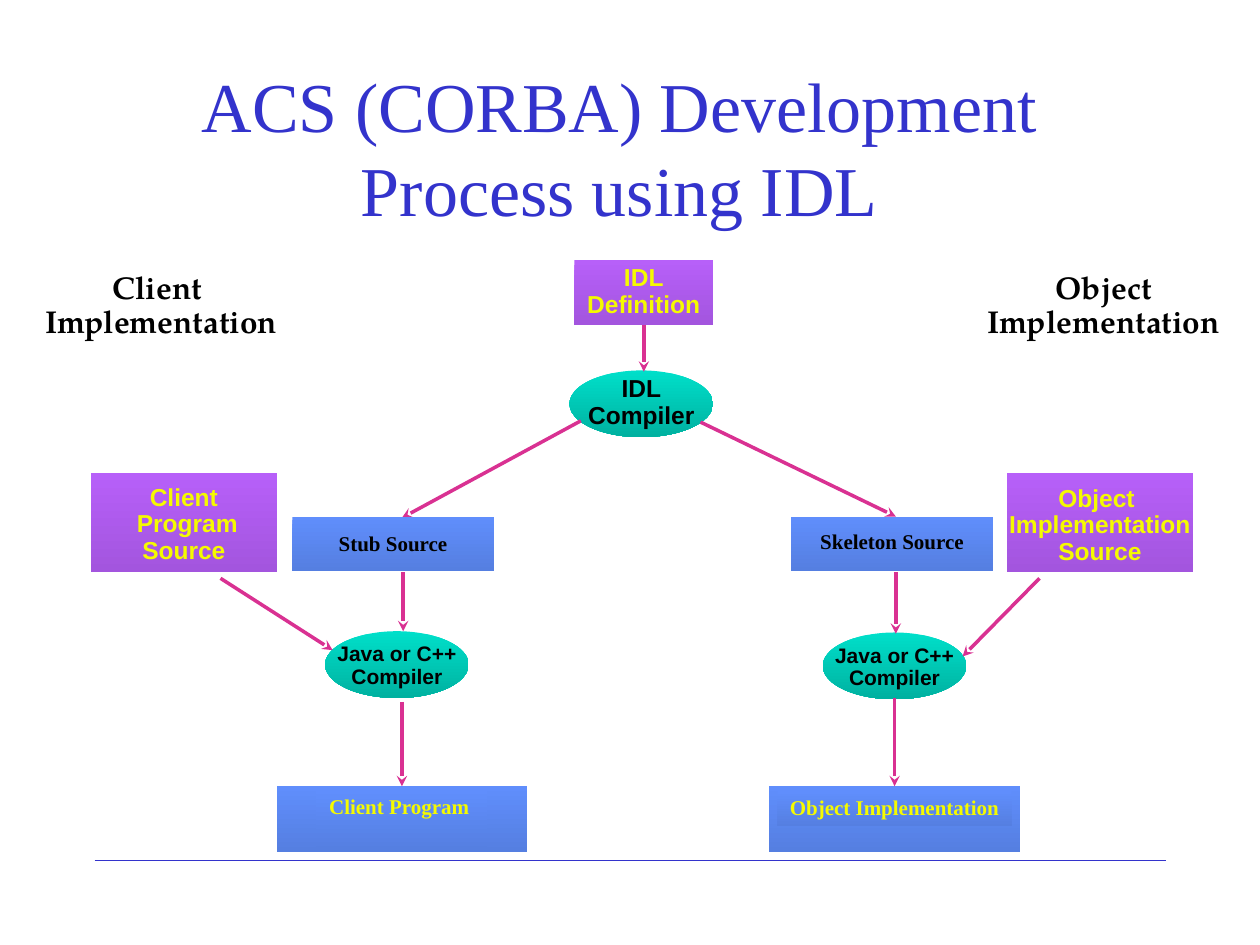
from dataclasses import dataclass

from pptx import Presentation
from pptx.dml.color import RGBColor
from pptx.enum.shapes import MSO_CONNECTOR, MSO_SHAPE
from pptx.enum.text import MSO_ANCHOR, PP_ALIGN
from pptx.oxml.ns import qn
from pptx.util import Inches, Pt
from lxml import etree

RECTANGLE, ELLIPSE = MSO_SHAPE.RECTANGLE, MSO_SHAPE.OVAL
STRAIGHT = MSO_CONNECTOR.STRAIGHT
TOP, MIDDLE = MSO_ANCHOR.TOP, MSO_ANCHOR.MIDDLE
CENTER = PP_ALIGN.CENTER
TOP_SIDE, BOTTOM_SIDE = 0, 2


@dataclass(frozen=True)
class Theme:
    blue: str = "3333CC"
    arrow: str = "D93192"
    black: str = "000000"
    yellow: str = "F5FA00"
    purple_fill: tuple = ("B760F9", "A355DE")
    teal_fill: tuple = ("00DFCA", "00B1A0")
    blue_fill: tuple = ("608EFC", "557FE1")
    serif: str = "Times New Roman"
    sans: str = "Arial"
    heading: str = "TeX Gyre Pagella"
    title_size: int = 40
    heading_size: int = 18
    large: int = 14
    small: int = 12


THEME = Theme()

# Type styles: font, size, colour
HEADING = (THEME.heading, THEME.heading_size, THEME.black)
SOURCE_TEXT = (THEME.sans, THEME.large, THEME.yellow)
IDL_COMPILER_TEXT = (THEME.sans, THEME.large, THEME.black)
COMPILER_TEXT = (THEME.sans, THEME.small, THEME.black)
GENERATED_TEXT = (THEME.serif, THEME.small, THEME.black)
PROGRAM_TEXT = (THEME.serif, THEME.small, THEME.yellow)

# Node kinds: outline, gradient, width, height
SOURCE = (RECTANGLE, THEME.purple_fill, 1.48, 0.79)
COMPILER = (ELLIPSE, THEME.teal_fill, 1.14, 0.53)
GENERATED = (RECTANGLE, THEME.blue_fill, 1.6, 0.43)
PROGRAM = (RECTANGLE, THEME.blue_fill, 1.99, 0.52)

# Column centres and row tops of the diagram
CLIENT_SOURCE, CLIENT, MIDDLE_COLUMN, OBJECT, OBJECT_SOURCE = 1.46, 3.15, 5.1, 7.1, 8.73
HEADING_ROW, IDL_ROW, IDL_COMPILER_ROW = 2.11, 2.06, 2.94
SOURCE_ROW, GENERATED_ROW, COMPILER_ROW, PROGRAM_ROW = 3.75, 4.1, 5.01, 6.24


def style_text(frame, style, bold=True, anchor=TOP):
    font_name, size, color = style
    frame.vertical_anchor = anchor
    for paragraph in frame.paragraphs:
        paragraph.alignment = CENTER
        paragraph.font.name = font_name
        paragraph.font.size = Pt(size)
        paragraph.font.bold = bold
        paragraph.font.color.rgb = RGBColor.from_string(color)


def add_block(slide, outline, gradient, center, top, width, height):
    block = slide.shapes.add_shape(outline, Inches(center - width / 2), Inches(top),
                                   Inches(width), Inches(height))
    block.shadow.inherit = False
    block.line.fill.background()
    block.fill.gradient()
    block.fill.gradient_angle = 270
    for stop, color in zip(block.fill.gradient_stops, gradient):
        stop.color.rgb = RGBColor.from_string(color)
    return block


def write_label(shape, text, style):
    frame = shape.text_frame
    frame.word_wrap = False
    frame.text = text
    style_text(frame, style)
    for paragraph in frame.paragraphs:
        paragraph.line_spacing = 0.9


def add_label(slide, text, style, center, top, width, height, gradient=None):
    if gradient:
        label = add_block(slide, RECTANGLE, gradient, center, top, width, height)
    else:
        label = slide.shapes.add_textbox(Inches(center - width / 2), Inches(top),
                                         Inches(width), Inches(height))
    write_label(label, text, style)
    return label


def add_node(slide, kind, center, top, text, style, label_size, drop, label_fill=None):
    """Draw a block with its label set drop inches below the block's top."""
    outline, gradient, width, height = kind
    block = add_block(slide, outline, gradient, center, top, width, height)
    add_label(slide, text, style, center, top + drop, *label_size, gradient=label_fill)
    return block


def add_rule(slide, start, end, color, width):
    rule = slide.shapes.add_connector(STRAIGHT, *map(Inches, start + end))
    rule.line.color.rgb = RGBColor.from_string(color)
    rule.line.width = Pt(width)
    etree.SubElement(rule._element.spPr, qn("a:effectLst"))
    return rule


def add_arrow(slide, start, end, source=None, target=None):
    """Draw an arrow, joined to a source's bottom or a target's top if given."""
    arrow = add_rule(slide, start, end, THEME.arrow, 2)
    line = arrow._element.spPr.find(qn("a:ln"))
    etree.SubElement(line, qn("a:tailEnd"), type="stealth")
    if source is not None:
        arrow.begin_connect(source, BOTTOM_SIDE)
    if target is not None:
        arrow.end_connect(target, TOP_SIDE)


def add_title(slide, text):
    title = slide.shapes.title
    title.left, title.top = Inches(0.75), Inches(0.58)
    title.width, title.height = Inches(8.33), Inches(1.17)
    title.text_frame.text = text
    style_text(title.text_frame, (THEME.serif, THEME.title_size, THEME.blue),
               bold=False, anchor=MIDDLE)


def add_idl_stage(slide):
    definition = add_label(slide, "IDL\nDefinition", SOURCE_TEXT, MIDDLE_COLUMN + 0.01,
                           IDL_ROW, 1.1, 0.52, THEME.purple_fill)
    add_node(slide, COMPILER, MIDDLE_COLUMN - 0.01, IDL_COMPILER_ROW, "IDL\nCompiler",
             IDL_COMPILER_TEXT, (1.05, 0.52), 0)
    add_arrow(slide, (5.11, 2.58), (5.11, 2.95), source=definition)
    add_arrow(slide, (4.61, 3.34), (3.19, 4.11))
    add_arrow(slide, (5.56, 3.35), (7.11, 4.1))


def add_client_side(slide):
    add_label(slide, "Client \nImplementation", HEADING, 1.28, HEADING_ROW, 2.26, 0.64)
    add_node(slide, GENERATED, CLIENT - 0.03, GENERATED_ROW, "Stub Source",
             GENERATED_TEXT, (1.07, 0.28), 0.08)
    add_node(slide, SOURCE, CLIENT_SOURCE, SOURCE_ROW, "Client\v Program\nSource",
             SOURCE_TEXT, (1.06, 0.73), 0.05)
    add_node(slide, COMPILER, CLIENT, COMPILER_ROW, "Java or C++\nCompiler",
             COMPILER_TEXT, (1.15, 0.46), 0.05)
    program = add_node(slide, PROGRAM, CLIENT + 0.04, PROGRAM_ROW, "Client Program \v",
                       PROGRAM_TEXT, (1.36, 0.48), 0.03, THEME.blue_fill)
    add_arrow(slide, (1.75, 4.59), (2.64, 5.16))
    add_arrow(slide, (3.2, 4.54), (3.2, 5.01))
    add_arrow(slide, (3.19, 5.57), (3.19, 6.24), target=program)


def add_object_side(slide):
    add_label(slide, "Object\nImplementation", HEADING, 8.76, HEADING_ROW, 2.26, 0.64)
    add_node(slide, GENERATED, OBJECT - 0.02, GENERATED_ROW, "Skeleton Source",
             GENERATED_TEXT, (1.35, 0.28), 0.07)
    add_node(slide, SOURCE, OBJECT_SOURCE, SOURCE_ROW, "Object \vImplementation\nSource",
             SOURCE_TEXT, (1.64, 0.73), 0.06)
    add_node(slide, COMPILER, OBJECT, COMPILER_ROW + 0.01, "Java or C++\nCompiler",
             COMPILER_TEXT, (1.15, 0.46), 0.05)
    program = add_node(slide, PROGRAM, OBJECT, PROGRAM_ROW, "Object Implementation",
                       PROGRAM_TEXT, (1.86, 0.28), 0.04, THEME.blue_fill)
    add_arrow(slide, (7.11, 4.54), (7.11, 5.03))
    add_arrow(slide, (8.25, 4.59), (7.64, 5.21))
    add_arrow(slide, (7.1, 5.54), (7.1, 6.24), target=program)


def main():
    presentation = Presentation()
    presentation.slide_width, presentation.slide_height = Inches(10), Inches(7.5)
    title_only = presentation.slide_layouts[5]
    slide = presentation.slides.add_slide(title_only)
    add_rule(slide, (0.75, 6.83), (9.25, 6.83), THEME.blue, 1)
    add_title(slide, "ACS (CORBA) Development Process using IDL")
    add_idl_stage(slide)
    add_client_side(slide)
    add_object_side(slide)
    presentation.save("out.pptx")


if __name__ == "__main__":
    main()
